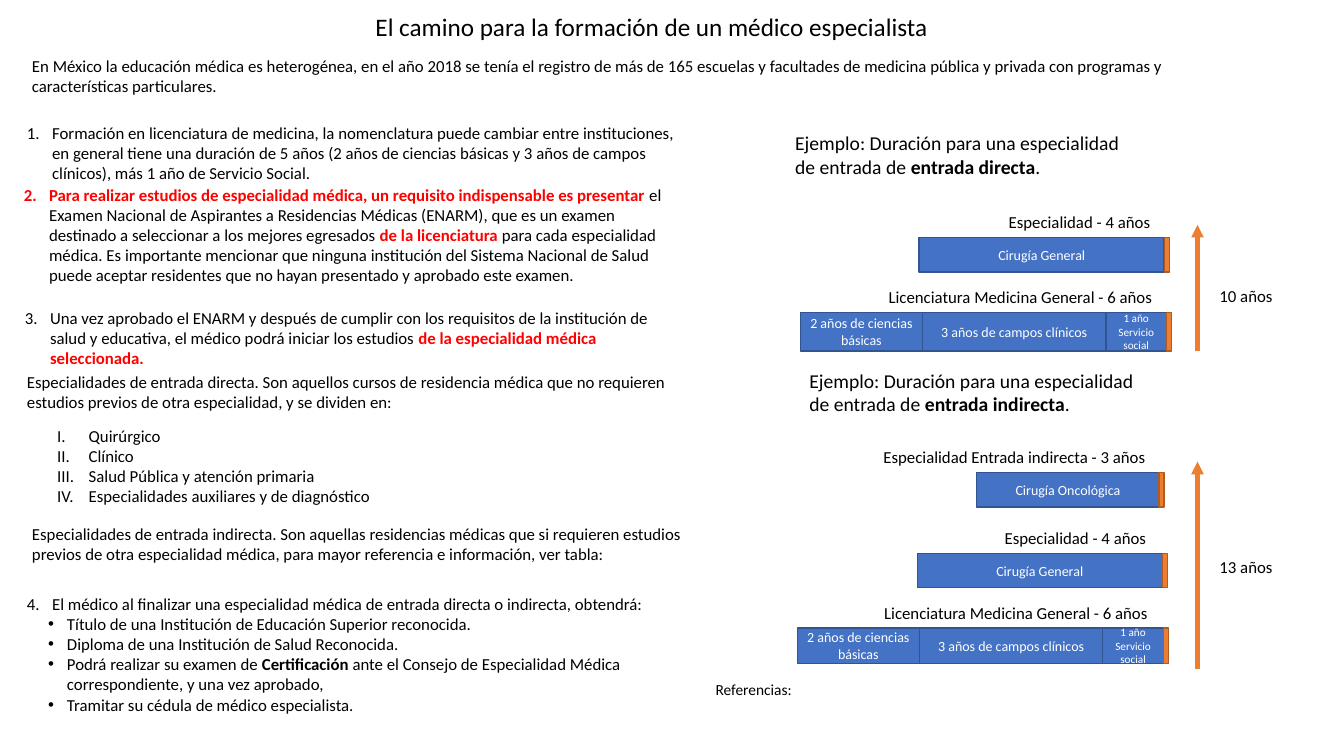
from pptx import Presentation
from pptx.util import Pt
from pptx.dml.color import RGBColor as RGB
from pptx.enum.shapes import MSO_SHAPE as Shape, MSO_CONNECTOR as Link
from pptx.enum.text import MSO_ANCHOR as Anchor, MSO_AUTO_SIZE as Fit, PP_ALIGN as Align
from pptx.oxml.ns import qn
from lxml.etree import SubElement as Sub

HUES = {"ink": "000000", "red": "FF0000", "white": "FFFFFF", "blue": "4472C4",
        "navy": "325491", "orange": "ED7D31", "rust": "AF5C24"}
FONT = "Calibri"


def hue(name):
    return RGB.from_string(HUES[name])


def add_run(para, text, size=12, color="ink", bold=False):
    run = para.add_run()
    run.text = text
    font = run.font
    font.name, font.size, font.bold = FONT, Pt(size), bold
    font.color.rgb = hue(color)


def add_mark(para, mark, start, left, hang):
    """Bullet or automatic number, with a hanging indent in points."""
    props = para._p.get_or_add_pPr()
    props.set("marL", str(Pt(left)))
    props.set("indent", str(Pt(-hang)))
    if mark == "•":
        Sub(props, qn("a:buFont"), typeface="Arial")
        Sub(props, qn("a:buChar"), char=mark)
    else:
        num = Sub(props, qn("a:buAutoNum"), type=mark)
        if start > 1:
            num.set("startAt", str(start))


def add_text(slide, box, paras, size=12, align=Align.LEFT, wrap=True):
    """Each paragraph is (mark, runs); a run is (text, colour, bold)."""
    frame = slide.shapes.add_textbox(*map(Pt, box)).text_frame
    frame.word_wrap = wrap
    frame.auto_size = Fit.SHAPE_TO_FIT_TEXT
    for i, (mark, runs) in enumerate(paras):
        para = frame.paragraphs[0] if i == 0 else frame.add_paragraph()
        para.alignment = align
        if mark:
            add_mark(para, *mark)
        for text, color, bold in runs:
            add_run(para, text, size, color, bold)


def plain(text, mark=None):
    return mark, [(text, "ink", False)]


def add_bar(slide, box, fill, line, text="", size=10):
    bar = slide.shapes.add_shape(Shape.RECTANGLE, *map(Pt, box))
    bar.shadow.inherit = False
    bar.fill.solid()
    bar.fill.fore_color.rgb = hue(fill)
    bar.line.color.rgb = hue(line)
    bar.line.width = Pt(1)
    if text:
        frame = bar.text_frame
        frame.word_wrap = True
        frame.vertical_anchor = Anchor.MIDDLE
        frame.paragraphs[0].alignment = Align.CENTER
        add_run(frame.paragraphs[0], text, size, "white")


def add_arrow(slide, x, low, high):
    arrow = slide.shapes.add_connector(Link.STRAIGHT, Pt(x), Pt(low), Pt(x), Pt(high))
    arrow.line.color.rgb = hue("orange")
    arrow.line.width = Pt(3)
    Sub(arrow.line._get_or_add_ln(), qn("a:tailEnd"), type="triangle")
    Sub(arrow._element.spPr, qn("a:effectLst"))


def add_stage(slide, box, label, mid, wide, parts):
    """Label over a row of bars, closed by a thin orange bar."""
    x, y, high = box
    add_text(slide, (mid - wide / 2, y - 22, wide, 21.8), [plain(label)],
             align=Align.CENTER)
    for text, width, size in parts:
        add_bar(slide, (x, y, width, high), "blue", "navy", text, size)
        x += width
    add_bar(slide, (x, y, 3.6, high), "orange", "rust")


def add_head(slide, box):
    x, y, w = box
    add_text(slide, (x + 232.6, y, 434, 29),
             [plain("El camino para la formación de un médico especialista")], 18, Align.CENTER)
    add_text(slide, (x, y + 31.7, w, 36), [plain(
        "En México la educación médica es heterogénea, en el año 2018 se tenía el registro "
        "de más de 165 escuelas y facultades de medicina pública y privada con programas y "
        "características particulares.")])


def add_steps(slide, box):
    x, y, w = box

    def number(start):
        return "arabicPeriod", start, 18, 18

    roman = ("romanUcPeriod", 1, 22.5, 22.5)
    dot = ("•", 1, 28.6, 13.5)
    # Offset from the corner, width, height and paragraphs of each block
    blocks = [
        (2.2, 0, w, 51, [plain(
            "Formación en licenciatura de medicina, la nomenclatura puede cambiar entre "
            "instituciones, en general tiene una duración de 5 años (2 años de ciencias básicas "
            "y 3 años de campos clínicos), más 1 año de Servicio Social.", number(1))]),
        (0, 44, w, 80, [(number(2), [
            ("Para realizar estudios de especialidad médica, un requisito indispensable es "
             "presentar ", "red", True),
            ("el Examen Nacional de Aspirantes a Residencias Médicas (ENARM), que es un examen "
             "destinado a seleccionar a los mejores egresados ", "ink", False),
            ("de la licenciatura ", "red", True),
            ("para cada especialidad médica. Es importante mencionar que ninguna institución "
             "del Sistema Nacional de Salud puede aceptar residentes que no hayan presentado "
             "y aprobado este examen.", "ink", False)])]),
        (0.7, 131.8, w, 51, [(number(3), [
            ("Una vez aprobado el ENARM y después de cumplir con los requisitos de la "
             "institución de salud y educativa, el médico podrá iniciar los estudios",
             "ink", False),
            (" de la especialidad médica seleccionada.", "red", True)])]),
        (2.2, 177.8, w, 36, [plain(
            "Especialidades de entrada directa. Son aquellos cursos de residencia médica que no "
            "requieren estudios previos de otra especialidad, y se dividen en:")]),
        (23.8, 216, 305, 65.5, [plain(text, roman) for text in (
            "Quirúrgico", "Clínico", "Salud Pública y atención primaria",
            "Especialidades auxiliares y de diagnóstico")]),
        (5.8, 286.6, w, 36, [plain(
            "Especialidades de entrada indirecta. Son aquellas residencias médicas que si "
            "requieren estudios previos de otra especialidad médica, para mayor referencia e "
            "información, ver tabla:")]),
        (2.2, 336.2, w, 94.3, [
            plain("El médico al finalizar una especialidad médica de entrada directa o "
                  "indirecta, obtendrá:", number(4)),
            plain("Título de una Institución de Educación Superior reconocida.", dot),
            plain("Diploma de una Institución de Salud Reconocida.", dot),
            (dot, [("Podrá realizar su examen de ", "ink", False),
                   ("Certificación", "ink", True),
                   (" ante el Consejo de Especialidad Médica correspondiente, y una vez "
                    "aprobado,", "ink", False)]),
            plain("Tramitar su cédula de médico especialista.", dot)]),
    ]
    for dx, dy, wide, high, paras in blocks:
        add_text(slide, (x + dx, y + dy, wide, high), paras)


def add_sample(slide, box, kind, stages, years, mid, low, high):
    """Heading, stages, and the arrow with its total of years."""
    x, y = box
    add_text(slide, (x, y, 251.3, 41), [(None, [
        ("Ejemplo: Duración para una especialidad de entrada de ", "ink", False),
        (kind, "ink", True), (".", "ink", False)])], 14)
    for (dx, dy, tall), label, centre, wide, parts in stages:
        add_stage(slide, (x + dx, y + dy, tall), label, x + centre, wide, parts)
    add_text(slide, (864, y + mid, 53.3, 21.8), [plain(years)], wrap=False)
    add_arrow(slide, 855.4, y + low, y + high)


def main():
    deck = Presentation()
    deck.slide_width, deck.slide_height = Pt(960), Pt(540)
    slide = deck.slides.add_slide(deck.slide_layouts[6])

    degree = [("2 años de ciencias básicas", 87.2, 10),
              ("3 años de campos clínicos", 131, 10),
              ("1 año Servicio social", 43.4, 8)]
    surgery = [("Cirugía General", 175, 10)]
    cancer = [("Cirugía Oncológica", 130.3, 10)]
    base = "Licenciatura Medicina General - 6 años"
    next_up = "Especialidad - 4 años"

    add_head(slide, (15.8, 4.3, 861.8))
    add_steps(slide, (10, 84.2, 480.2))
    # Direct entry
    add_sample(slide, (560.9, 90), "entrada directa", [
        ((10.8, 133.2, 27.4), base, 168.1, 228.2, degree),
        ((95.7, 79.8, 24.5), next_up, 210.2, 125.3, surgery),
    ], "10 años", 110.2, 160.6, 70.6)
    # Indirect entry
    add_sample(slide, (571, 259.9), "entrada indirecta", [
        ((-1.5, 188.7, 25.2), base, 154.8, 204.5, degree),
        ((84.2, 135.4, 24.5), next_up, 197.2, 129.6, surgery),
        ((126.7, 77.8, 24.5), "Especialidad Entrada indirecta - 3 años", 153.7, 202.5, cancer),
    ], "13 años", 133.9, 218.2, 69.9)
    # References
    add_text(slide, (504, 482.4, 70.6, 20.6), [plain("Referencias:")], 11, wrap=False)
    deck.save("out.pptx")


if __name__ == "__main__":
    main()
